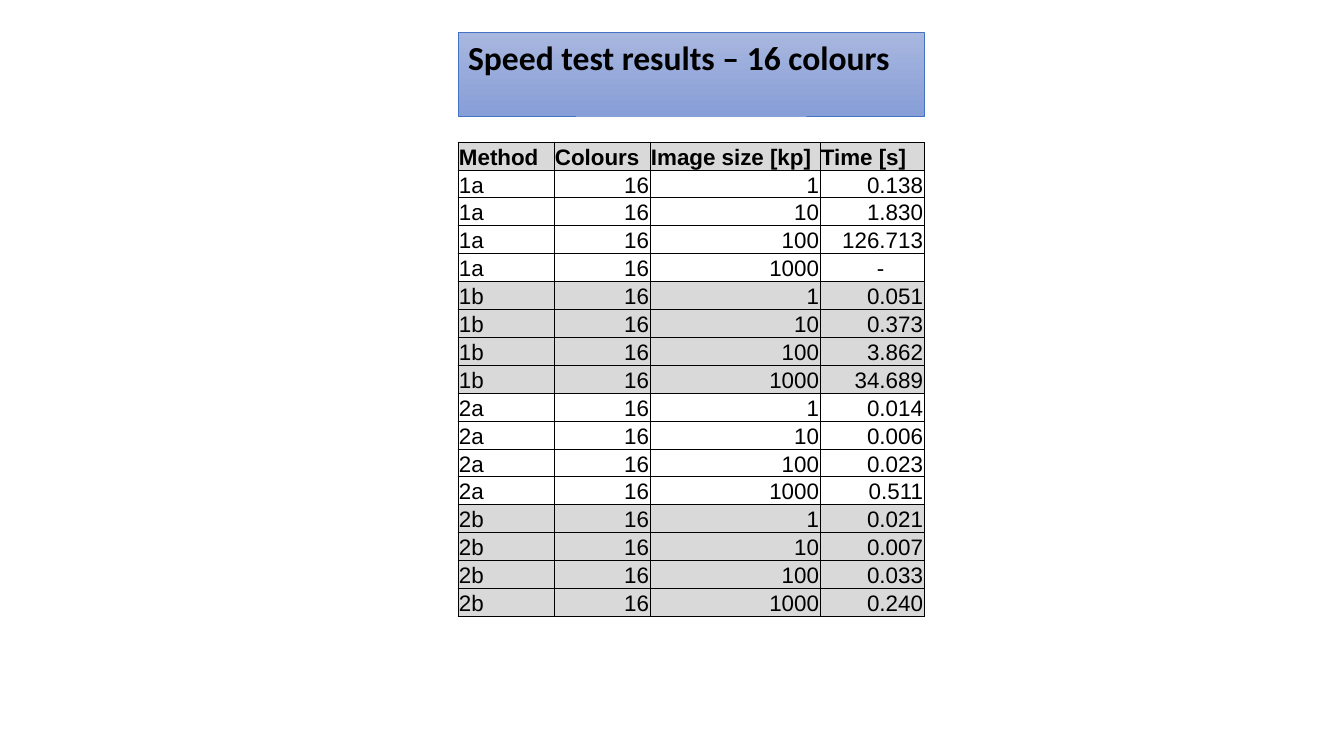
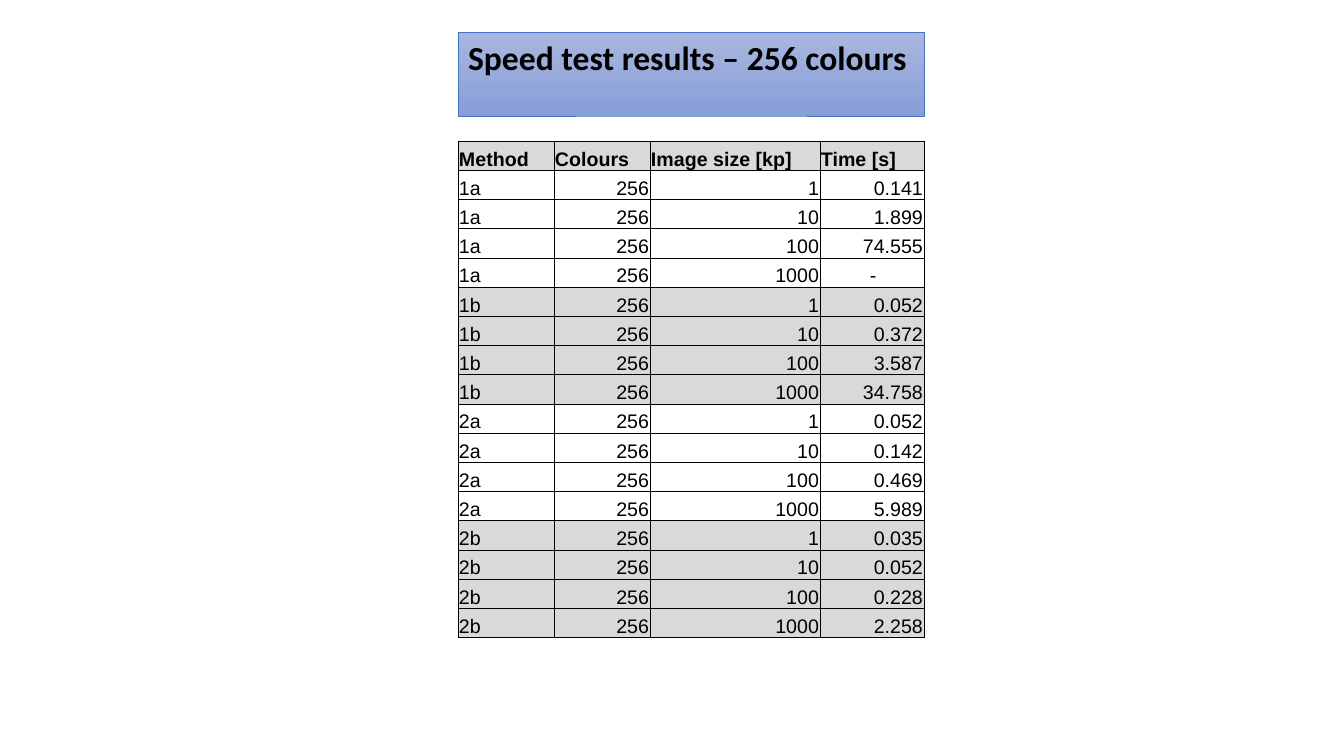
from dataclasses import dataclass
from itertools import product

from lxml import etree
from pptx import Presentation
from pptx import util as u
from pptx.dml.color import RGBColor
from pptx.enum import text
from pptx.oxml import ns
from pptx.slide import Slide
from pptx.table import _Cell
from pptx.text.text import _Paragraph

EMU_PER_PIXEL = 914400 / 100.8
BLACK = "000000"
SHADE = "D9D9D9"
TITLE_TOP = "A8B7DF"
TITLE_BOTTOM = "889ED7"
TITLE_LINE = "4472C4"
LEFT = 458
COLUMN_WIDTHS = (96, 96, 170, 104)
WIDTH = sum(COLUMN_WIDTHS)
HEADERS = ("Method", "Colours", "Image size [kp]", "Time [s]")
METHODS = ("1a", "1b", "2a", "2b")
SHADED_METHODS = ("1b", "2b")
IMAGE_SIZES = ("1", "10", "100", "1000")
NO_TIME = "-"
NO_TIME_INDENT = 2.5


@dataclass(frozen=True)
class SpeedTest:
    colours: str
    top: int
    height: int
    font_size: int
    times: tuple[str, ...]


SPEED_TESTS = (
    SpeedTest("16", 142, 472, 16, (
        "0.138", "1.830", "126.713", NO_TIME,
        "0.051", "0.373", "3.862", "34.689",
        "0.014", "0.006", "0.023", "0.511",
        "0.021", "0.007", "0.033", "0.240",
    )),
    SpeedTest("256", 141, 497, 14, (
        "0.141", "1.899", "74.555", NO_TIME,
        "0.052", "0.372", "3.587", "34.758",
        "0.052", "0.142", "0.469", "5.989",
        "0.035", "0.052", "0.228", "2.258",
    )),
)


def px(pixels: float) -> u.Emu:
    return u.Emu(round(pixels * EMU_PER_PIXEL))


def colour(value: str) -> RGBColor:
    return RGBColor.from_string(value)


def add_span(para: _Paragraph, words: str, font: str, size: int, bold: bool) -> None:
    span = para.add_run()
    span.text = words
    span.font.name = font
    span.font.size = u.Pt(size)
    span.font.bold = bold
    span.font.color.rgb = colour(BLACK)


def draw_title(page: Slide, words: str) -> None:
    box = page.shapes.title
    box.left, box.top, box.width, box.height = px(LEFT), px(32), px(WIDTH), px(50)
    box.fill.gradient()
    box.fill.gradient_angle = 270
    for stop, value in zip(box.fill.gradient_stops, (TITLE_TOP, TITLE_BOTTOM)):
        stop.color.rgb = colour(value)
    box.line.color.rgb = colour(TITLE_LINE)
    box.line.width = u.Pt(0.5)
    frame = box.text_frame
    frame.word_wrap = True
    frame.auto_size = text.MSO_AUTO_SIZE.SHAPE_TO_FIT_TEXT
    frame.vertical_anchor = text.MSO_ANCHOR.TOP
    para = frame.paragraphs[0]
    para.alignment = text.PP_ALIGN.LEFT
    add_span(para, words, "Calibri", 24, True)


def draw_borders(cell: _Cell) -> None:
    properties = cell._tc.get_or_add_tcPr()
    for side in ("a:lnL", "a:lnR", "a:lnT", "a:lnB"):
        line = etree.SubElement(properties, ns.qn(side), w=str(u.Pt(0.5)))
        fill = etree.SubElement(line, ns.qn("a:solidFill"))
        etree.SubElement(fill, ns.qn("a:srgbClr"), val=BLACK)


def fill_cell(cell: _Cell, words: str, size: int, header: bool, shaded: bool, right: bool) -> None:
    cell.margin_left = cell.margin_right = cell.margin_top = px(1)
    cell.margin_bottom = 0
    cell.vertical_anchor = text.MSO_ANCHOR.BOTTOM
    draw_borders(cell)
    if shaded:
        cell.fill.solid()
        cell.fill.fore_color.rgb = colour(SHADE)
    else:
        cell.fill.background()
    para = cell.text_frame.paragraphs[0]
    para.alignment = text.PP_ALIGN.RIGHT if right else text.PP_ALIGN.LEFT
    if words == NO_TIME:
        para._p.get_or_add_pPr().set("marL", str(u.Pt(NO_TIME_INDENT * size)))
    add_span(para, words, "Arial", size, header)


def draw_results(page: Slide, test: SpeedTest) -> None:
    measured = [
        (method, test.colours, image_size, time)
        for (method, image_size), time in zip(product(METHODS, IMAGE_SIZES), test.times)
    ]
    rows = [HEADERS, *measured]
    table = page.shapes.add_table(
        len(rows), len(HEADERS), px(LEFT), px(test.top), px(WIDTH), px(test.height)
    ).table
    table.first_row = table.horz_banding = False
    for column, width in zip(table.columns, COLUMN_WIDTHS):
        column.width = px(width)
    for row_index, row in enumerate(rows):
        header = row_index == 0
        shaded = header or row[0] in SHADED_METHODS
        for column_index, words in enumerate(row):
            right = not header and column_index > 0 and words != NO_TIME
            cell = table.cell(row_index, column_index)
            fill_cell(cell, words, test.font_size, header, shaded, right)


def build() -> None:
    deck = Presentation()
    deck.slide_width, deck.slide_height = px(1344), px(756)
    for test in SPEED_TESTS:
        page = deck.slides.add_slide(deck.slide_layouts.get_by_name("Title Only"))
        draw_title(page, f"Speed test results – {test.colours} colours")
        draw_results(page, test)
    deck.save("out.pptx")


build()
